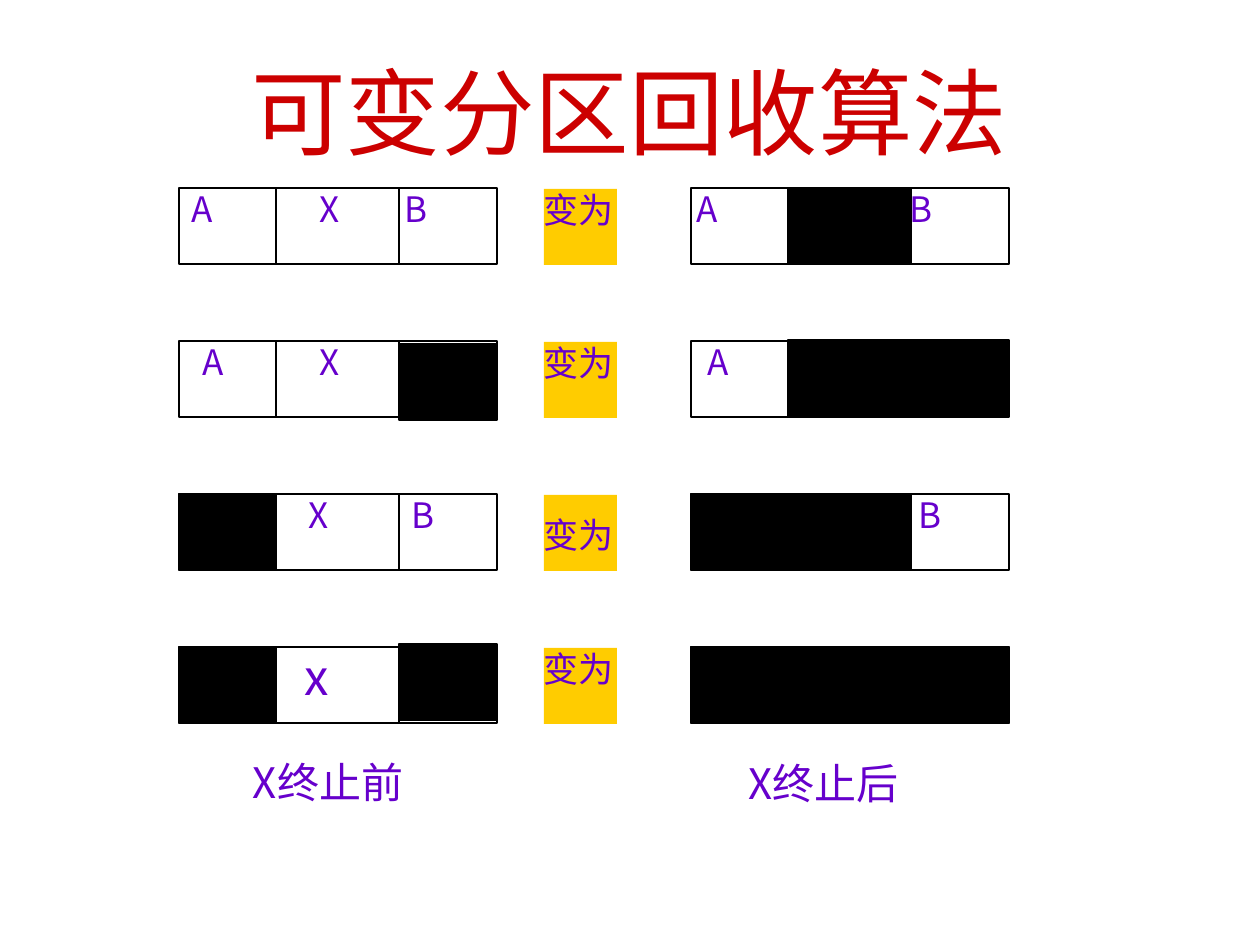
from dataclasses import dataclass

from lxml.etree import SubElement
from pptx import Presentation
from pptx.dml.color import RGBColor
from pptx.enum.shapes import MSO_CONNECTOR, MSO_SHAPE
from pptx.enum.text import MSO_ANCHOR, PP_ALIGN
from pptx.oxml.ns import qn
from pptx.util import Pt


@dataclass(frozen=True)
class Theme:
    font: str = "Noto Sans CJK JP"
    white: str = "FFFFFF"
    black: str = "000000"
    red: str = "CC0000"
    purple: str = "6600CC"
    gold: str = "FFCC00"
    title: int = 54
    letter: int = 20
    small_x: int = 28
    caption: int = 24
    line: float = 1.5


THEME = Theme()
SCALE = 914400 / 126
TOP, PITCH, BAR_W, BAR_H = 188, 153, 318, 76
BEFORE, AFTER = 179, 691
CUTS = (97, 220)

# A bar: left edge, letters with their offsets, dividers,
# and free blocks as (start, end, vertical shift).
ROWS = [
    [(BEFORE, [("A", 13), ("X", 141), ("B", 226)], CUTS, []),
     (AFTER, [("A", 6), ("B", 219)], CUTS, [(97, 220, 0)])],
    [(BEFORE, [("A", 24), ("X", 141)], CUTS, [(220, BAR_W, 3)]),
     (AFTER, [("A", 17)], CUTS[:1], [(97, BAR_W, -1)])],
    [(BEFORE, [("X", 130), ("B", 233)], CUTS, [(0, 97, 0)]),
     (AFTER, [("B", 228)], CUTS[1:], [(0, 220, 0)])],
    [(BEFORE, [("x", 126)], CUTS, [(0, 97, 0), (220, BAR_W, -3)]),
     (AFTER, [], [], [(0, BAR_W, 0)])],
]


def px(value):
    return round(value * SCALE)


def color(code):
    return RGBColor.from_string(code)


def write(shape, text, size, ink=THEME.purple, align=PP_ALIGN.JUSTIFY,
          anchor=MSO_ANCHOR.TOP, inset=0, tabs=()):
    """Set one line of text; tabs are offsets in px from the left edge."""
    frame = shape.text_frame
    look = {"word_wrap": True, "vertical_anchor": anchor, "margin_left": 0,
            "margin_right": 0, "margin_top": px(inset), "margin_bottom": 0}
    for name, value in look.items():
        setattr(frame, name, value)
    para = frame.paragraphs[0]
    para.alignment = align
    if tabs:
        stops = SubElement(para._p.get_or_add_pPr(), qn("a:tabLst"))
        for stop in tabs:
            SubElement(stops, qn("a:tab"), pos=str(px(stop)), algn="l")
    run = para.add_run()
    run.text = text
    for name, value in {"name": THEME.font, "size": Pt(size)}.items():
        setattr(run.font, name, value)
    run.font.color.rgb = color(ink)
    SubElement(run._r.get_or_add_rPr(), qn("a:ea"), typeface=THEME.font)


def add_rect(slide, box, fill, edge=None):
    shape = slide.shapes.add_shape(MSO_SHAPE.RECTANGLE, *map(px, box))
    shape.shadow.inherit = False
    shape.fill.solid()
    shape.fill.fore_color.rgb = color(fill)
    if edge:
        shape.line.color.rgb = color(edge)
        shape.line.width = Pt(THEME.line)
    else:
        shape.line.fill.background()
    return shape


def add_cut(slide, x, y):
    line = slide.shapes.add_connector(
        MSO_CONNECTOR.STRAIGHT, px(x), px(y), px(x), px(y + BAR_H))
    line.line.color.rgb = color(THEME.black)
    line.line.width = Pt(THEME.line)
    SubElement(line._element.spPr, qn("a:effectLst"))


def add_bar(slide, y, left, letters, cuts, blocks):
    bar = add_rect(slide, (left, y, BAR_W, BAR_H), THEME.white, THEME.black)
    if letters:
        names, stops = zip(*letters)
        size = THEME.small_x if "x" in names else THEME.letter
        write(bar, "".join("\t" + name for name in names), size, tabs=stops)
    for cut in cuts:
        add_cut(slide, left + cut, y)
    for start, end, shift in blocks:
        add_rect(slide, (left + start, y + shift, end - start, BAR_H),
                 THEME.black, THEME.black)


def add_title(slide):
    box = slide.shapes.add_textbox(*map(px, (94, 32, 1071, 158)))
    write(box, "可变分区回收算法", THEME.title, THEME.red,
          PP_ALIGN.CENTER, MSO_ANCHOR.MIDDLE)


def add_caption(slide, text, box):
    write(add_rect(slide, box, THEME.white), text, THEME.caption)


def main():
    deck = Presentation()
    deck.slide_width, deck.slide_height = px(1260), px(945)
    slide = deck.slides.add_slide(deck.slide_layouts[6])
    add_title(slide)
    for index, bars in enumerate(ROWS):
        y = TOP + index * PITCH
        for bar in bars:
            add_bar(slide, y, *bar)
        label = add_rect(slide, (544, y + 1, 73, BAR_H), THEME.gold)
        write(label, "变为", THEME.letter, inset=18 if index == 2 else 0)
    add_caption(slide, "X终止前", (253, 757, 210, 60))
    add_caption(slide, "X终止后", (748, 757, 170, 72))
    deck.save("out.pptx")


if __name__ == "__main__":
    main()
